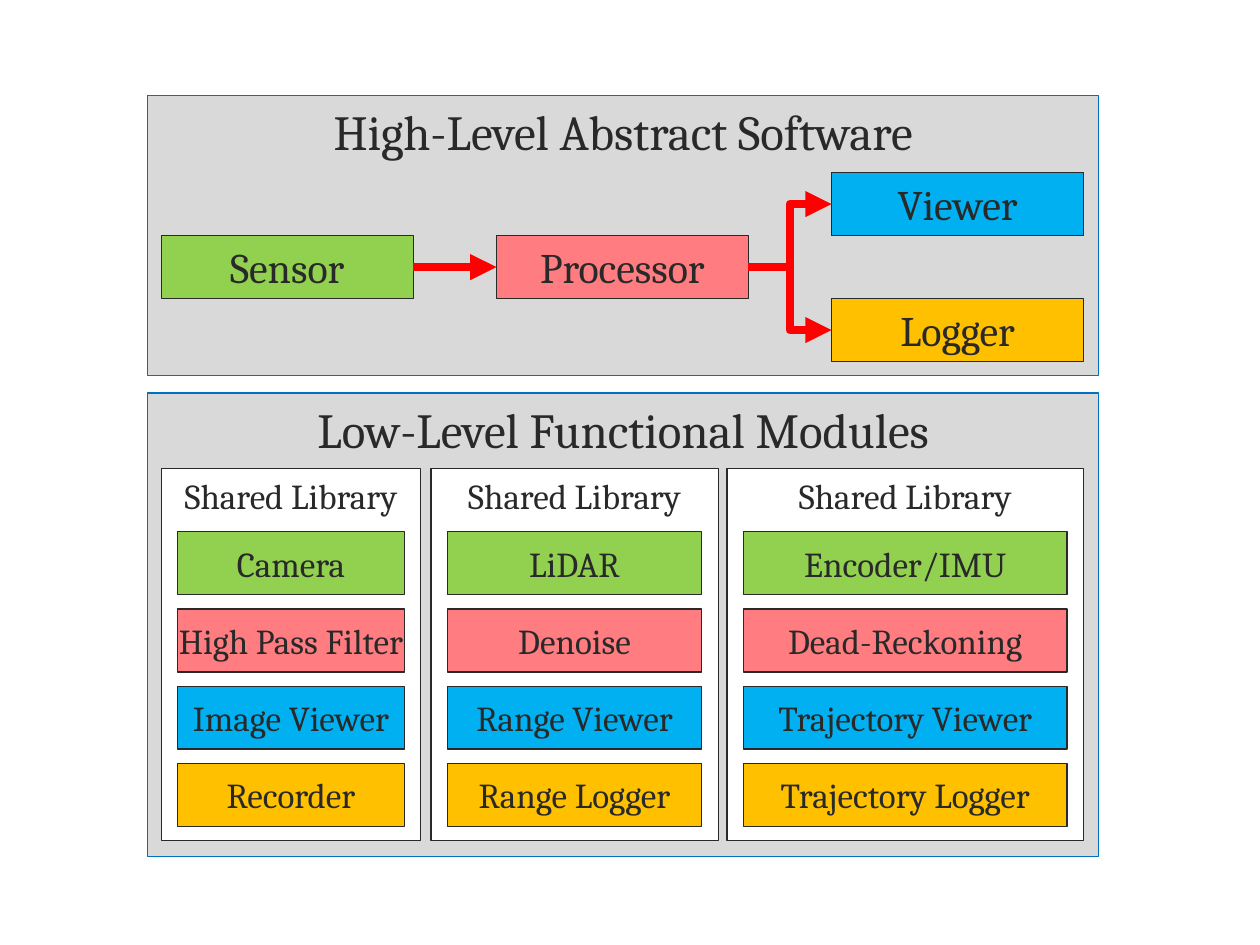
from lxml.etree import SubElement
from pptx import Presentation
from pptx.dml.color import RGBColor
from pptx.enum.shapes import MSO_CONNECTOR as CONNECTOR, MSO_SHAPE as SHAPE
from pptx.enum.text import MSO_ANCHOR as ANCHOR, PP_ALIGN as ALIGN
from pptx.oxml.ns import qn
from pptx.util import Inches, Pt

FONT = "Cambria"
INK, PANEL, PANEL_EDGE, ARROW = "292929", "D9D9D9", "0070C0", "FF0000"
GREEN, PINK, BLUE, AMBER = "92D050", "FF7C80", "00B0F0", "FFC000"
ROLE_COLOURS = [GREEN, PINK, BLUE, AMBER]
BOX_HEIGHT = 0.5
LIBRARIES = [
    (1.28, 2.06, ["Camera", "High Pass Filter", "Image Viewer", "Recorder"]),
    (3.42, 2.28, ["LiDAR", "Denoise", "Range Viewer", "Range Logger"]),
    (5.77, 2.83, ["Encoder/IMU", "Dead-Reckoning", "Trajectory Viewer",
                  "Trajectory Logger"]),
]


def colour(hex_code):
    return RGBColor.from_string(hex_code)


def add_box(shapes, label, place, fill, size, edge=INK, anchor=ANCHOR.MIDDLE):
    box = shapes.add_shape(SHAPE.RECTANGLE, *map(Inches, place))
    box.shadow.inherit = False
    box.fill.solid()
    box.fill.fore_color.rgb = colour(fill)
    box.line.color.rgb = colour(edge)
    box.line.width = Pt(0.75)
    frame = box.text_frame
    frame.text = label
    frame.word_wrap = False
    frame.vertical_anchor = anchor
    paragraph = frame.paragraphs[0]
    paragraph.alignment = ALIGN.CENTER
    font = paragraph.runs[0].font
    font.name, font.size = FONT, Pt(size)
    font.color.rgb = colour(INK)
    return box


def add_panel(shapes, label, top, height):
    add_box(shapes, label, (1.17, top, 7.55, height), PANEL, 28,
            PANEL_EDGE, ANCHOR.TOP)


def add_arrow(shapes, source, target, kind):
    arrow = shapes.add_connector(
        kind, source.left + source.width, source.top + source.height // 2,
        target.left, target.top + target.height // 2)
    arrow.begin_connect(source, 3)
    arrow.end_connect(target, 1)
    arrow.line.color.rgb = colour(ARROW)
    arrow.line.width = Pt(5)
    SubElement(arrow.line._get_or_add_ln(), qn("a:tailEnd"), type="triangle")
    SubElement(arrow._element.spPr, qn("a:effectLst"))


def add_pipeline(slide):
    shapes = slide.shapes.add_group_shape().shapes
    add_panel(shapes, "High-Level Abstract Software", 0.76, 2.22)
    stages = [("Sensor", 1.28, 1.87), ("Processor", 3.94, 1.87),
              ("Viewer", 6.6, 1.37), ("Logger", 6.6, 2.37)]
    sensor, processor, viewer, logger = [
        add_box(shapes, label, (left, top, 2, BOX_HEIGHT), fill, 24)
        for (label, left, top), fill in zip(stages, ROLE_COLOURS)]
    for output in (viewer, logger):
        add_arrow(shapes, processor, output, CONNECTOR.ELBOW)
    add_arrow(shapes, sensor, processor, CONNECTOR.STRAIGHT)


def add_library(slide, left, width, modules):
    shapes = slide.shapes.add_group_shape().shapes
    add_box(shapes, "Shared Library", (left, 3.72, width, 2.95), "FFFFFF", 20,
            anchor=ANCHOR.TOP)
    margin, first_top, pitch = 0.13, 4.22, 0.613
    for row, (module, fill) in enumerate(zip(modules, ROLE_COLOURS)):
        place = (left + margin, first_top + row * pitch,
                 width - 2 * margin, BOX_HEIGHT)
        add_box(shapes, module, place, fill, 20)


def main():
    deck = Presentation()
    deck.slide_width, deck.slide_height = Inches(10), Inches(7.5)
    slide = deck.slides.add_slide(deck.slide_layouts[6])
    add_pipeline(slide)
    add_panel(slide.shapes, "Low-Level Functional Modules", 3.12, 3.68)
    for left, width, modules in LIBRARIES:
        add_library(slide, left, width, modules)
    deck.save("out.pptx")


main()
